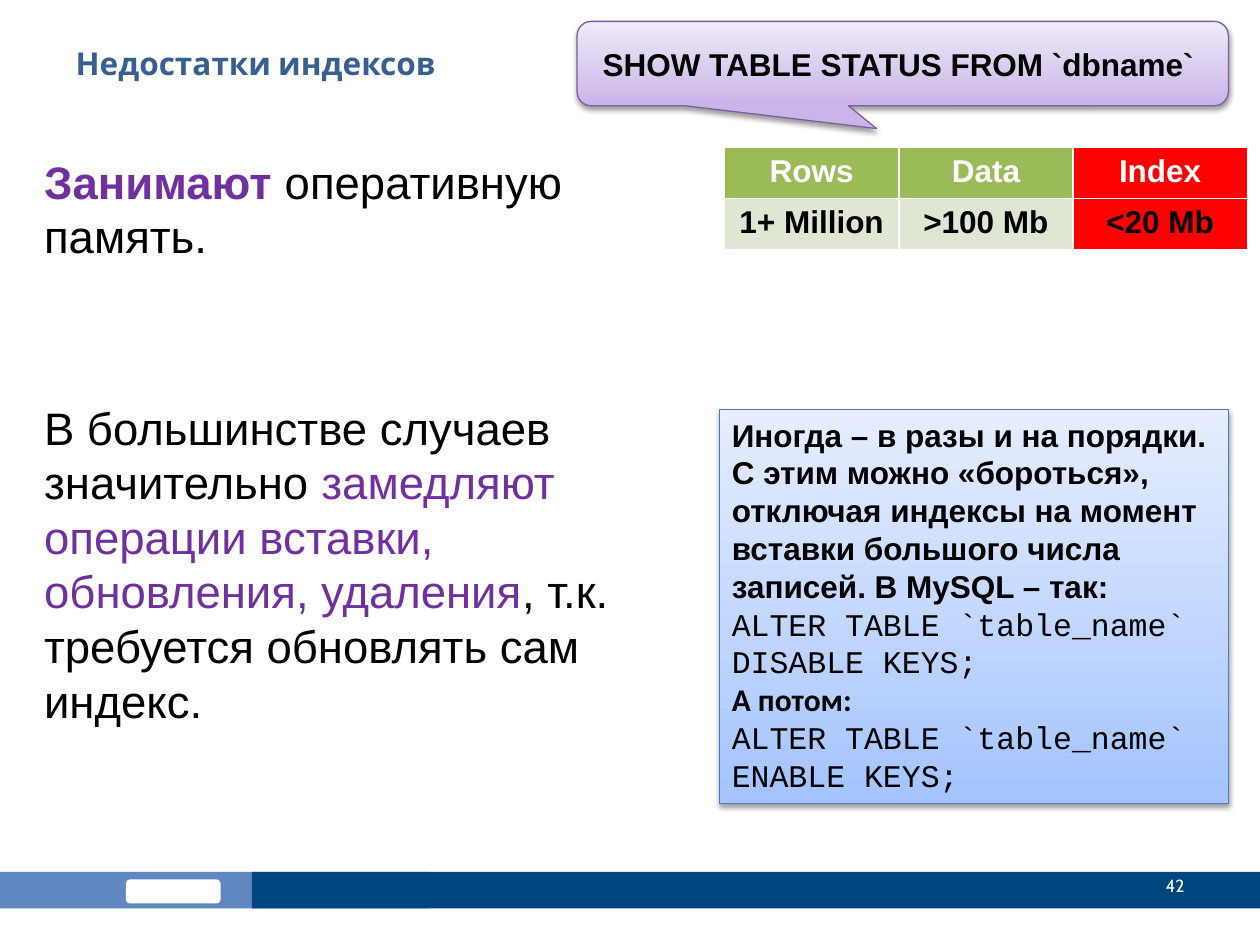
import pptx
import pptx.dml.color
import pptx.enum.shapes
import pptx.enum.text
import pptx.oxml
import pptx.oxml.ns
import pptx.util

Inches, Pt = pptx.util.Inches, pptx.util.Pt
Kind = pptx.enum.shapes.MSO_SHAPE
Align = pptx.enum.text.PP_ALIGN
Anchor = pptx.enum.text.MSO_ANCHOR
Fit = pptx.enum.text.MSO_AUTO_SIZE

COLORS = {
    "white": "FFFFFF", "black": "000000", "title": "376092",
    "violet": "7030A0", "bar": "6087BF", "navy": "00467E",
    "green": "9BBB59", "pale": "DEE7D1", "red": "FF0000",
    "lilac": "C9B5E8", "mist": "F0EAF9", "plum": "7D60A0",
    "sky": "A4C4FF", "ice": "E6EEFF", "blue": "4B7EBC",
}

# Font settings by role, with the colour of the text
FONTS = {
    "title": ({"name": "Cabin", "size": Pt(18), "bold": True}, "title"),
    "page": ({"name": "Cabin", "size": Pt(10), "bold": False}, "white"),
    "text": ({"name": "Arial", "size": Pt(26), "bold": False}, "black"),
    "mark": ({"name": "Arial", "size": Pt(26), "bold": False}, "violet"),
    "key": ({"name": "Arial", "size": Pt(26), "bold": True}, "violet"),
    "head": ({"name": "Arial", "size": Pt(18), "bold": True}, "white"),
    "note": ({"name": "Arial", "size": Pt(18), "bold": True}, "black"),
    "then": ({"name": "Calibri", "size": Pt(18), "bold": True}, "black"),
    "code": ({"name": "Courier New", "size": Pt(18), "bold": False}, "black"),
}

BODY = [
    [("Занимают ", "key"), ("оперативную память.", "text")],
    [("В большинстве случаев значительно ", "text"),
     ("замедляют операции вставки, обновления, удаления", "mark"),
     (", т.к. требуется обновлять сам индекс.", "text")],
]

NOTES = [
    [("Иногда – в разы и на порядки.", "note")],
    [("С этим можно «бороться», отключая индексы на момент вставки "
      "большого числа записей. В MySQL – так:", "note")],
    [("ALTER TABLE `table_name` DISABLE KEYS;", "code")],
    [("А потом:", "then")],
    [("ALTER TABLE `table_name` ENABLE KEYS;", "code")],
]

# Each row: font role, then (text, fill) cells
STATUS = [
    ("head", [("Rows", "green"), ("Data", "green"), ("Index", "red")]),
    ("note", [("1+ Million", "pale"), (">100 Mb", "pale"), ("<20 Mb", "red")]),
]


def rgb(name):
    return pptx.dml.color.RGBColor.from_string(COLORS[name])


def node(xml):
    """Make an element from XML whose root tag comes with an attribute or end tag."""
    space = pptx.oxml.ns.nsdecls("a")
    return pptx.oxml.parse_xml(xml.replace(">", f" {space}>", 1))


def apply(item, values):
    for key, value in values.items():
        setattr(item, key, value)


def place(item, box):
    names = ("left", "top", "width", "height")
    apply(item, dict(zip(names, map(Inches, box))))


class Deck:
    """Holds the fonts and the current slide."""

    def __init__(self, fonts):
        self.fonts = fonts
        self.show = pptx.Presentation()
        apply(self.show, {"slide_width": Inches(10),
                          "slide_height": Inches(7.5)})
        layout = self.show.slide_layouts[1]
        self.slide = self.show.slides.add_slide(layout)

    def put(self, frame, paras, align=Align.LEFT, frame_set=None, **para_set):
        """Fill a text frame with paragraphs of (text, role) runs."""
        apply(frame, {"word_wrap": True, "auto_size": Fit.NONE,
                      "vertical_anchor": Anchor.TOP, **(frame_set or {})})
        for index, runs in enumerate(paras):
            para = frame.add_paragraph() if index else frame.paragraphs[0]
            apply(para, {"alignment": align, "space_before": Pt(0), **para_set})
            for text, role in runs:
                run = para.add_run()
                run.text = text
                values, color = self.fonts[role]
                apply(run.font, values)
                run.font.color.rgb = rgb(color)

    def title(self, box, text):
        item = self.slide.shapes.title
        place(item, box)
        self.put(item.text_frame, [[(text, "title")]])

    def body(self, box, paras, gap):
        """Fill the body placeholder, with a gap between paragraphs."""
        item = self.slide.placeholders[1]
        place(item, box)
        item.fill.solid()
        item.fill.fore_color.rgb = rgb("white")
        self.put(item.text_frame, paras, line_spacing=Pt(31.2))
        for para in item.text_frame.paragraphs:
            props = para._p.get_or_add_pPr()
            props.set("marL", "0")
            props.set("indent", "0")
            props.append(node("<a:buNone></a:buNone>"))
        item.text_frame.paragraphs[-1].space_before = Pt(gap)

    def shape(self, kind, box, fill):
        item = self.slide.shapes.add_shape(kind, *map(Inches, box))
        item.shadow.inherit = False
        item.fill.solid()
        item.fill.fore_color.rgb = rgb(fill)
        item.line.fill.background()
        return item

    def panel(self, kind, box, low, high, edge):
        """Add a shape with an upward gradient, an outline and a soft shadow."""
        item = self.shape(kind, box, low)
        item.fill.gradient()
        item.fill.gradient_angle = 90
        for stop, color in zip(item.fill.gradient_stops, (low, high)):
            stop.color.rgb = rgb(color)
        item.line.color.rgb = rgb(edge)
        item.line.width = Pt(0.75)
        effects = item._element.spPr.find(pptx.oxml.ns.qn("a:effectLst"))
        effects.append(node(
            f'<a:outerShdw blurRad="{Pt(3.1)}" dist="{Pt(1.6)}" dir="5400000" '
            'rotWithShape="0"><a:srgbClr val="000000"><a:alpha val="38000"/>'
            '</a:srgbClr></a:outerShdw>'))
        return item

    def label(self, box, text, role, align):
        item = self.slide.shapes.add_textbox(*map(Inches, box))
        self.put(item.text_frame, [[(text, role)]], align,
                 {"vertical_anchor": Anchor.MIDDLE})

    def table(self, box, rows):
        grid = self.slide.shapes.add_table(
            len(rows), len(rows[0][1]), *map(Inches, box)).table
        for r, (role, cells) in enumerate(rows):
            for c, (text, fill) in enumerate(cells):
                cell = grid.cell(r, c)
                self.put(cell.text_frame, [[(text, role)]], Align.CENTER,
                         {"auto_size": None})
                self.border(cell)
                cell.fill.solid()
                cell.fill.fore_color.rgb = rgb(fill)

    def border(self, cell):
        props = cell._tc.get_or_add_tcPr()
        for side in "LRTB":
            props.append(node(
                f'<a:ln{side} w="{Pt(1)}"><a:solidFill><a:srgbClr '
                f'val="{COLORS["white"]}"/></a:solidFill></a:ln{side}>'))


def main():
    deck = Deck(FONTS)
    deck.title((0.5, 0.3, 9, 0.78), "Недостатки индексов")
    deck.body((0.25, 1.17, 5.46, 5.17), BODY, gap=78)

    deck.shape(Kind.RECTANGLE, (-0.02, 6.92, 3.43, 0.29), "bar")
    deck.shape(Kind.ROUNDED_RECTANGLE, (1, 6.98, 0.75, 0.19), "white")
    deck.shape(Kind.RECTANGLE, (2, 6.92, 8, 0.29), "navy")
    deck.label((8.42, 6.83, 1.08, 0.4), "42", "page", Align.RIGHT)

    deck.table((5.75, 1.17, 4.15, 0.81), STATUS)

    query = deck.panel(Kind.ROUNDED_RECTANGULAR_CALLOUT,
                       (4.58, 0.17, 5.17, 0.67), "lilac", "mist", "plum")
    for index, value in enumerate((-0.04, 0.77, 0.17)):
        query.adjustments[index] = value
    deck.put(query.text_frame,
             [[("SHOW TABLE STATUS FROM `dbname` ", "note")]],
             Align.CENTER, {"vertical_anchor": Anchor.MIDDLE})

    advice = deck.panel(Kind.RECTANGLE, (5.71, 3.25, 4.04, 3.13),
                        "sky", "ice", "blue")
    deck.put(advice.text_frame, NOTES,
             frame_set={"auto_size": Fit.SHAPE_TO_FIT_TEXT},
             line_spacing=Pt(21.6))
    deck.show.save("out.pptx")


if __name__ == "__main__":
    main()
